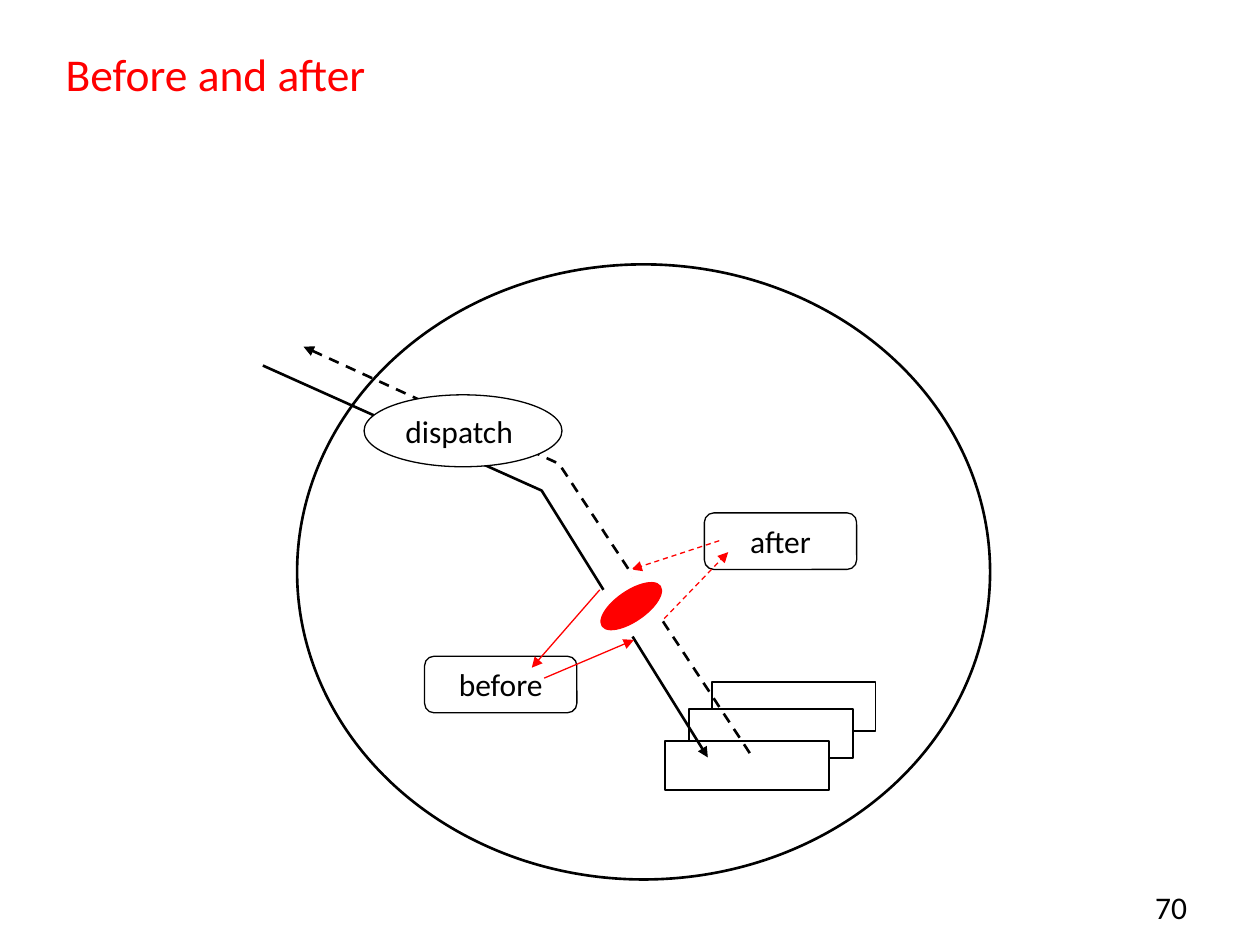
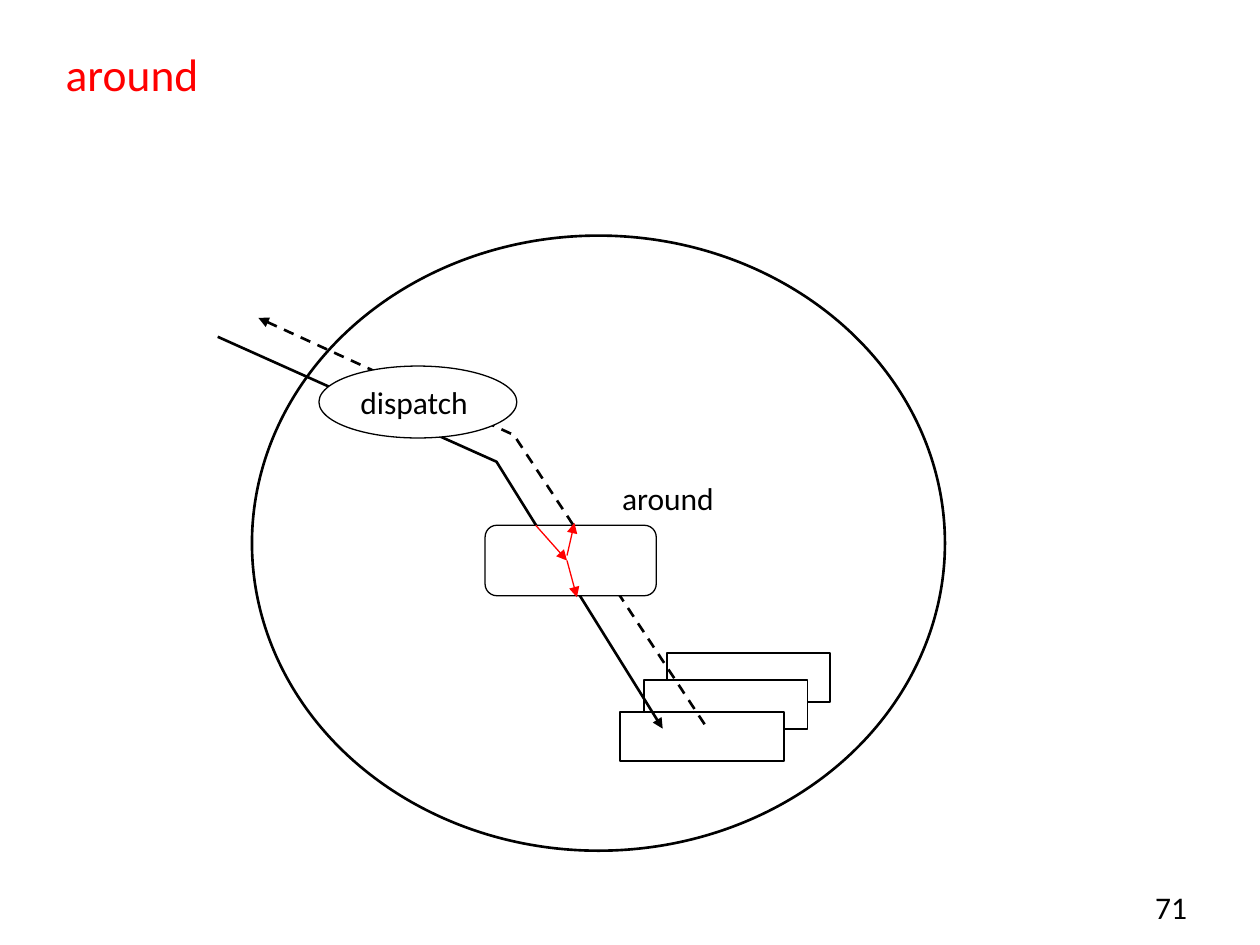
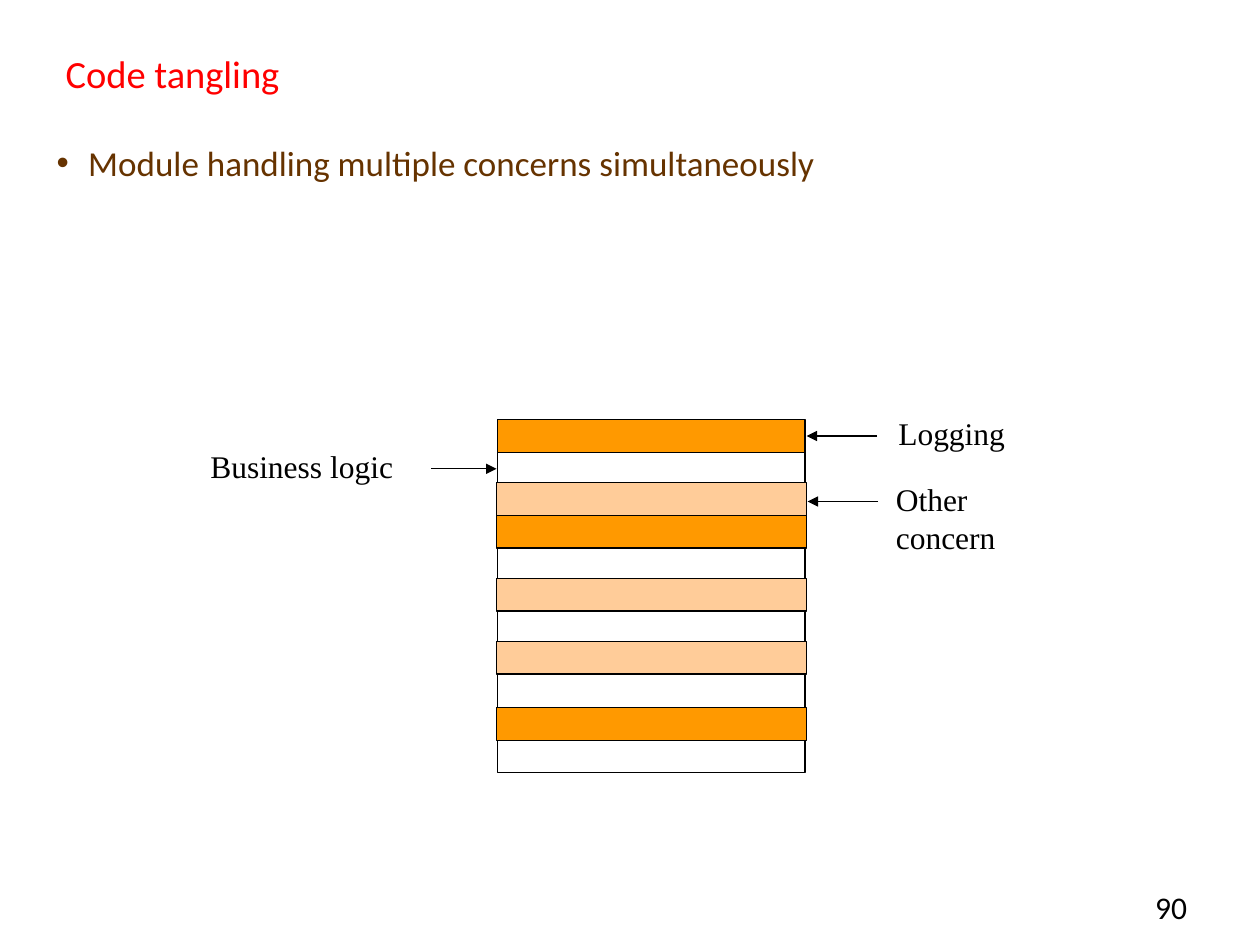
import pptx
import pptx.dml.color
import pptx.enum.dml
import pptx.enum.shapes
import pptx.enum.text
import pptx.oxml.ns
import pptx.util
from lxml import etree

Cm = pptx.util.Cm
SHAPE = pptx.enum.shapes.MSO_SHAPE
ALIGN = pptx.enum.text.PP_ALIGN
BLACK, WHITE, RED = "000000", "FFFFFF", "FF0000"
BROWN, ORANGE, PEACH = "663300", "FF9900", "FFCC99"


def rgb(value):
    """Return the colour for a hex string."""
    return pptx.dml.color.RGBColor.from_string(value)


def sub(parent, tag, **attrs):
    """Append a DrawingML element to a parent."""
    return etree.SubElement(parent, pptx.oxml.ns.qn(tag), **attrs)


def write(tf, text, size=18, color=BLACK, font="Calibri", align=ALIGN.LEFT, bullet=None):
    """Write one formatted paragraph into a text frame."""
    p = tf.paragraphs[0]
    p.alignment = align
    if bullet:
        pPr = p._p.get_or_add_pPr()
        pPr.set("marL", str(Cm(0.64)))
        pPr.set("indent", str(-Cm(0.64)))
        sub(pPr, "a:buFont", typeface="Arial")
        sub(pPr, "a:buChar", char=bullet)
    r = p.add_run()
    r.text = text
    r.font.size = pptx.util.Pt(size)
    r.font.name = font
    r.font.color.rgb = rgb(color)


class Deck:
    """Hold the presentation, its style and the current slide."""

    def __init__(self):
        """Start an empty presentation of 10 by 7.5 inches."""
        self.prs = pptx.Presentation()
        self.prs.slide_width, self.prs.slide_height = Cm(25.4), Cm(19.05)

    def slide(self, title, number, size=26):
        """Add a slide with its title and page number."""
        self.s = self.prs.slides.add_slide(self.prs.slide_layouts[5])
        self.text(number, 22.43, 17.78, 1.9, 1.27, align=ALIGN.RIGHT).margin_right = Cm(0.4)
        sp = self.s.shapes.title
        sp.left, sp.top, sp.width, sp.height = Cm(1.07), Cm(0.84), Cm(23.06), Cm(1.27)
        tf = sp.text_frame
        tf.auto_size = pptx.enum.text.MSO_AUTO_SIZE.NONE
        tf.vertical_anchor = pptx.enum.text.MSO_ANCHOR.MIDDLE
        write(tf, title, size=size, color=RED)

    def text(self, text, x, y, w, h, wrap=True, **fmt):
        """Add a text box and return its frame."""
        tf = self.s.shapes.add_textbox(Cm(x), Cm(y), Cm(w), Cm(h)).text_frame
        tf.word_wrap = wrap
        write(tf, text, **fmt)
        return tf

    def stroke(self, line, color, width, dash=False, head=False, tail=False):
        """Format a line and its arrowheads."""
        line.color.rgb = rgb(color)
        line.width = pptx.util.Pt(width)
        if dash:
            line.dash_style = pptx.enum.dml.MSO_LINE.DASH
        for tag, wanted in (("a:headEnd", head), ("a:tailEnd", tail)):
            if wanted:
                sub(line._get_or_add_ln(), tag, type="triangle")

    def shape(self, kind, x, y, w, h, fill=None, line=BLACK, width=0.75, text=None,
              align=ALIGN.CENTER, rotation=0):
        """Add a preset shape, with text if given."""
        sp = self.s.shapes.add_shape(kind, Cm(x), Cm(y), Cm(w), Cm(h))
        sp.shadow.inherit = False
        sp.rotation = rotation
        if fill:
            sp.fill.solid()
            sp.fill.fore_color.rgb = rgb(fill)
        else:
            sp.fill.background()
        self.stroke(sp.line, line, width)
        if text:
            sp.text_frame.word_wrap = True
            sp.text_frame.vertical_anchor = pptx.enum.text.MSO_ANCHOR.TOP
            write(sp.text_frame, text, align=align)

    def line(self, x1, y1, x2, y2, color=RED, width=0.75, dash=False, tail=True):
        """Add a straight line, by default an arrow."""
        c = self.s.shapes.add_connector(
            pptx.enum.shapes.MSO_CONNECTOR.STRAIGHT, Cm(x1), Cm(y1), Cm(x2), Cm(y2))
        sub(c._element.spPr, "a:effectLst")
        self.stroke(c.line, color, width, dash=dash, tail=tail)

    def route(self, points, **fmt):
        """Add an open outline through points."""
        start, *rest = [(Cm(x), Cm(y)) for x, y in points]
        builder = self.s.shapes.build_freeform(*start)
        builder.add_line_segments(rest, close=False)
        sp = builder.convert_to_shape()
        sp.shadow.inherit = False
        sp.fill.background()
        self.stroke(sp.line, BLACK, 1.5, **fmt)

    def dispatcher(self, x, y):
        """Draw the object with its dispatch and methods, from the circle's corner."""
        for dx, dy in ((8.36, 8.42), (7.9, 8.96), (7.42, 9.61)):
            self.shape(SHAPE.RECTANGLE, x + dx, y + dy, 3.3, 0.99, fill=WHITE, width=1)
        self.shape(SHAPE.OVAL, x, y, 13.97, 12.4, width=1.5)
        call = ((-0.69, 2.04), (4.93, 4.56), (8.28, 9.94))
        reply = ((0.13, 1.66), (5.28, 4.02), (9.19, 9.95))
        self.route([(x + dx, y + dy) for dx, dy in call], tail=True)
        self.route([(x + dx, y + dy) for dx, dy in reply], dash=True, head=True)
        self.shape(SHAPE.OVAL, x + 1.35, y + 2.63, 3.99, 1.45, fill=WHITE,
                   text="dispatch", align=ALIGN.LEFT)


def before_and_after(deck):
    """Build the slide on before and after advice."""
    deck.slide("Before and after", "70")
    deck.dispatcher(5.99, 5.33)
    deck.shape(SHAPE.ROUNDED_RECTANGLE, 8.56, 13.23, 3.07, 1.14, text="before")
    deck.line(12.09, 11.89, 10.72, 13.46)
    deck.line(10.97, 13.67, 12.78, 12.9)
    deck.line(12.17, 11.89, 12.75, 12.83, color=WHITE, width=3, tail=False)
    deck.shape(SHAPE.ROUNDED_RECTANGLE, 14.2, 10.34, 3.07, 1.14, text="after")
    deck.line(13.39, 12.47, 14.68, 11.13, dash=True)
    deck.line(14.5, 10.9, 12.73, 11.48, dash=True)
    deck.line(12.7, 11.48, 13.31, 12.47, color=WHITE, width=3, tail=False)
    deck.shape(SHAPE.OVAL, 12.42, 11.51, 0.61, 1.42, fill=RED, line=RED, rotation=55.5)


def around(deck):
    """Build the slide on around advice."""
    deck.slide("around", "71")
    deck.dispatcher(5.08, 4.75)
    deck.shape(SHAPE.ROUNDED_RECTANGLE, 9.78, 10.59, 3.45, 1.42, fill=WHITE)
    deck.text("around", 12.29, 9.53, 2.39, 1.02, wrap=False)
    deck.line(11.43, 11.3, 11.63, 12.04)
    deck.line(11.43, 11.2, 11.58, 10.54)
    deck.line(10.8, 10.59, 11.43, 11.3)


def code_tangling(deck):
    """Build the slide on tangled concerns in one module."""
    deck.slide("Code tangling", "90", size=22)
    deck.text("Module handling multiple concerns simultaneously", 0.89, 2.72, 23.29, 14.4,
              size=20, color=BROWN, bullet="•")
    deck.shape(SHAPE.RECTANGLE, 10.03, 8.48, 6.2, 7.09)
    deck.shape(SHAPE.RECTANGLE, 10.03, 8.46, 6.2, 0.66, fill=ORANGE)
    for fill, tops in ((ORANGE, (10.39, 14.27)), (PEACH, (9.73, 11.66, 12.93))):
        for top in tops:
            deck.shape(SHAPE.RECTANGLE, 10.01, top, 6.25, 0.66, fill=fill)
    for label, x, y, w, start, end in (
            ("Business logic", 3.99, 8.89, 4.19, 8.69, 10.01),
            ("Logging", 17.86, 8.23, 2.67, 17.68, 16.26),
            ("Other concern", 17.81, 9.55, 4.11, 17.7, 16.28)):
        deck.text(label, x, y, w, 1.02, wrap=False, font="Times New Roman")
        deck.line(start, y + 0.56, end, y + 0.56, color=BLACK)


def main():
    """Build and save the presentation."""
    deck = Deck()
    before_and_after(deck)
    around(deck)
    code_tangling(deck)
    deck.prs.save("out.pptx")


if __name__ == "__main__":
    main()
